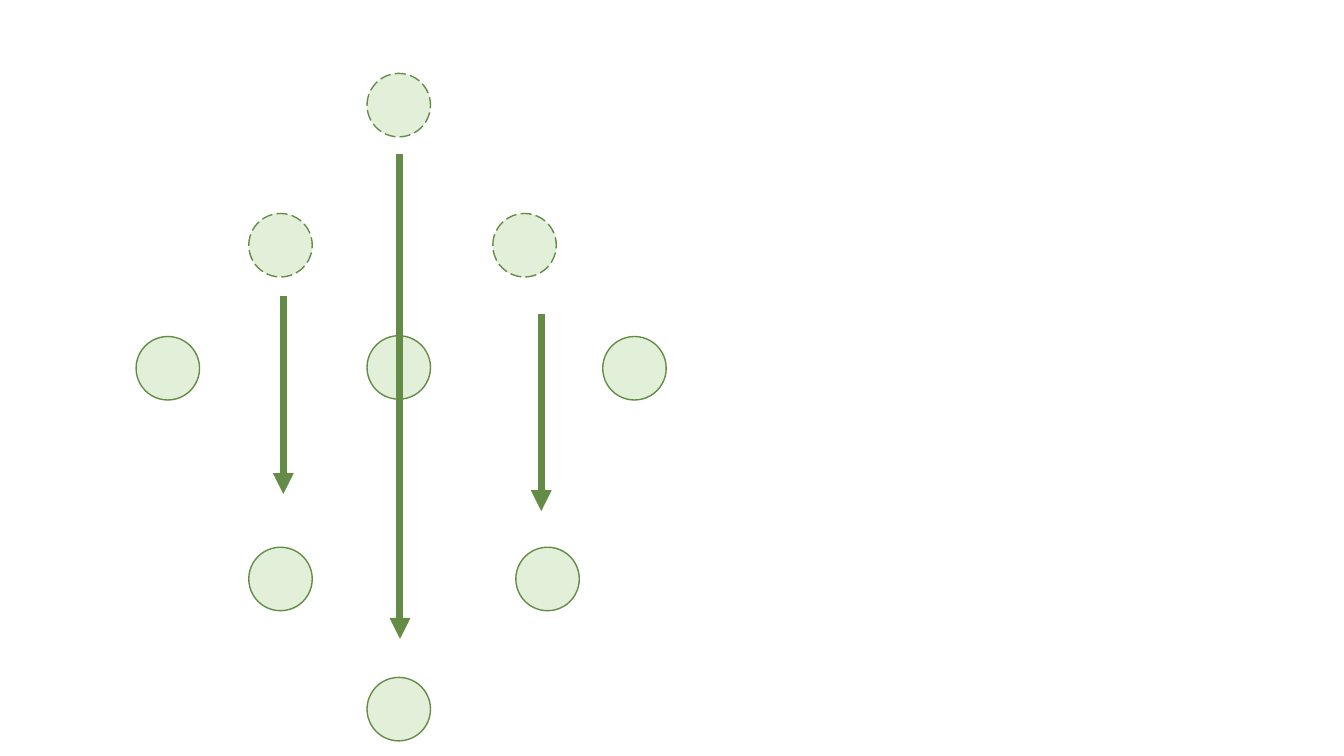
import pptx
import pptx.util
import pptx.dml.color
import pptx.enum.dml
import pptx.enum.shapes
import pptx.oxml
import pptx.oxml.ns
import lxml.etree

Cm = pptx.util.Cm
Pt = pptx.util.Pt
PALE_GREEN = pptx.dml.color.RGBColor(0xE2, 0xF0, 0xD9)
DARK_GREEN = pptx.dml.color.RGBColor(0x64, 0x8C, 0x47)

DIAMETER = 1.6
LEFT, CENTRE, RIGHT = 2.84, 5.82, 11.76  # shared columns, cm from the box

# Left and top of each circle, cm from the box
START_CIRCLES = [(CENTRE, 0), (LEFT, 3.53), (8.99, 3.53)]
SOLID_CIRCLES = [(0, 6.63), (CENTRE, 6.61), (RIGHT, 6.63),
                 (CENTRE, 15.22), (9.57, 11.94), (LEFT, 11.94)]
# Left, top and length of each downward arrow
ARROWS = [(6.65, 2.04, 12.21), (10.21, 6.05, 4.98), (3.71, 5.62, 4.98)]


def format_line(line, width, dash=None):
    line.color.rgb = DARK_GREEN
    values = {"width": Pt(width), "dash_style": dash}
    for name, value in values.items():
        setattr(line, name, value)


def add_circle(page, left, top, dash=None):
    circle = page.shapes.add_shape(
        pptx.enum.shapes.MSO_SHAPE.OVAL,
        Cm(left), Cm(top), Cm(DIAMETER), Cm(DIAMETER))
    circle.shadow.inherit = False
    circle.fill.solid()
    circle.fill.fore_color.rgb = PALE_GREEN
    format_line(circle.line, 1, dash)


def add_down_arrow(page, left, top, length):
    arrow = page.shapes.add_connector(
        pptx.enum.shapes.MSO_CONNECTOR.STRAIGHT,
        Cm(left), Cm(top), Cm(left), Cm(top + length))
    format_line(arrow.line, 5)
    # Arrowhead at the lower end, and no shadow
    qualified = pptx.oxml.ns.qn
    outline = arrow.line._get_or_add_ln()
    lxml.etree.SubElement(outline, qualified("a:tailEnd"), type="triangle")
    lxml.etree.SubElement(arrow._element.spPr, qualified("a:effectLst"))


def draw_movement_diagram(page, box_left, box_top):
    # Dashed circles show the starting places
    dashed = pptx.enum.dml.MSO_LINE.LONG_DASH
    for circles, dash in ((START_CIRCLES, dashed), (SOLID_CIRCLES, None)):
        for left, top in circles:
            add_circle(page, box_left + left, box_top + top, dash)
    # Arrows lie over the circles
    for left, top, length in ARROWS:
        add_down_arrow(page, box_left + left, box_top + top, length)


deck = pptx.Presentation()
deck.slide_width, deck.slide_height = Cm(33.87), Cm(19.05)
page = deck.slides.add_slide(deck.slide_layouts[6])
draw_movement_diagram(page, 3.43, 1.85)
deck.save("out.pptx")
